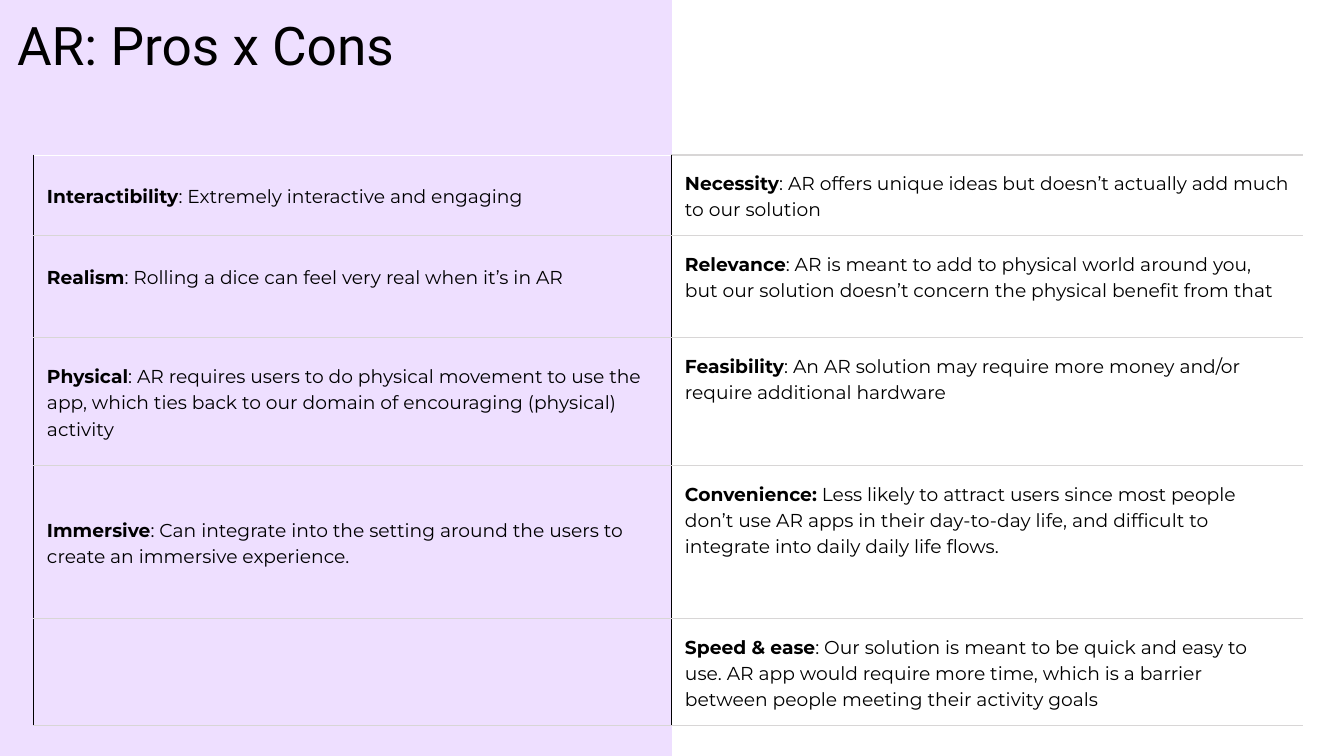
from lxml import etree
from pptx import Presentation
from pptx.dml.color import RGBColor
from pptx.enum.shapes import MSO_SHAPE
from pptx.enum.text import MSO_ANCHOR
from pptx.oxml.ns import qn
from pptx.util import Emu, Pt

RECTANGLE = MSO_SHAPE.RECTANGLE
TOP, MIDDLE = MSO_ANCHOR.TOP, MSO_ANCHOR.MIDDLE

LILAC = RGBColor(0xEE, 0xDF, 0xFF)
BLACK = RGBColor(0, 0, 0)
WHITE = RGBColor(0xFF, 0xFF, 0xFF)
GREY = RGBColor(0xD8, 0xD6, 0xD6)

EMU_PER_PX = 914400 / 67.2
SLIDE_W, SLIDE_H = 1344, 756
COLUMN_WIDTHS = (638, 632)
ROW_HEIGHTS = (79, 102, 128, 153, 106)
CELL_INSET = 14
REALISM_ROW = 1

PROS = (
    ("Interactibility", ": Extremely interactive and engaging"),
    ("Realism", ": Rolling a dice can feel very real when it’s in AR"),
    ("Physical", ": AR requires users to do physical movement to use the app, "
                 "which ties back to our domain of encouraging (physical) activity"),
    ("Immersive", ": Can integrate into the setting around the users to create "
                  "an immersive experience."),
    None,
)
CONS = (
    ("Necessity", ": AR offers unique ideas but doesn’t actually add much to our solution"),
    ("Relevance", ": AR is meant to add to physical world around you, but our "
                  "solution doesn’t concern the physical benefit from that"),
    ("Feasibility", ": An AR solution may require more money and/or require "
                    "additional hardware"),
    ("Convenience:", " Less likely to attract users since most people don’t use AR "
                     "apps in their day-to-day life, and difficult to integrate into "
                     "daily daily life flows."),
    ("Speed & ease", ": Our solution is meant to be quick and easy to use. AR app "
                     "would require more time, which is a barrier between people "
                     "meeting their activity goals"),
)


def px(length):
    return Emu(round(length * EMU_PER_PX))


def add_panel(slide, left, top, width, height):
    panel = slide.shapes.add_shape(RECTANGLE, px(left), px(top), px(width), px(height))
    panel.shadow.inherit = False
    panel.fill.solid()
    panel.fill.fore_color.rgb = LILAC
    panel.line.fill.background()


def add_title(slide, left, top, width, height):
    title = slide.shapes.add_textbox(px(left), px(top), px(width), px(height))
    frame = title.text_frame
    frame.word_wrap = True
    frame.margin_left = frame.margin_right = frame.margin_top = frame.margin_bottom = 0
    frame.text = "AR: Pros x Cons"
    heading = frame.paragraphs[0]
    heading.line_spacing = 1.1
    heading.font.name = "Roboto"
    heading.font.size = Pt(57)
    heading.font.color.rgb = BLACK


def set_borders(cell, borders):
    """Add the cell's edges, given in the order left, right, top, bottom."""
    properties = cell._tc.get_or_add_tcPr()
    for side, (color, points) in zip("LRTB", borders):
        edge = etree.SubElement(properties, qn(f"a:ln{side}"), w=str(Pt(points)))
        fill = etree.SubElement(edge, qn("a:solidFill"))
        etree.SubElement(fill, qn("a:srgbClr"), val=str(color))


def write_point(cell, point):
    paragraph = cell.text_frame.paragraphs[0]
    paragraph.line_spacing = 1.15
    for text, bold in zip(point, (True, False)):
        run = paragraph.add_run()
        run.text = text
        run.font.name = "Montserrat"
        run.font.size = Pt(20)
        run.font.bold = bold
        run.font.color.rgb = BLACK


def add_comparison(slide, left, top):
    frame = slide.shapes.add_table(
        len(ROW_HEIGHTS), len(COLUMN_WIDTHS), px(left), px(top),
        px(sum(COLUMN_WIDTHS)), px(sum(ROW_HEIGHTS)))
    table = frame.table
    table.first_row = table.horz_banding = False
    for column, width in zip(table.columns, COLUMN_WIDTHS):
        column.width = px(width)
    for row, height in zip(table.rows, ROW_HEIGHTS):
        row.height = px(height)

    thin_black, thin_white, rule = (BLACK, 0.75), (WHITE, 0.75), (GREY, 1.5)
    for column, points in enumerate((PROS, CONS)):
        for row, point in enumerate(points):
            cell = table.cell(row, column)
            is_pro = column == 0
            set_borders(cell, (
                thin_black,
                thin_black if is_pro else thin_white,
                thin_white if is_pro and row == 0 else rule,
                rule))
            cell.fill.background()
            cell.margin_left = cell.margin_right = px(CELL_INSET)
            cell.margin_top = cell.margin_bottom = px(CELL_INSET)
            cell.vertical_anchor = MIDDLE if is_pro else TOP
            if point:
                write_point(cell, point)
    # This point sits a little above the middle of its row
    table.cell(REALISM_ROW, 0).margin_bottom = px(CELL_INSET + 20)


def main():
    presentation = Presentation()
    presentation.slide_width, presentation.slide_height = px(SLIDE_W), px(SLIDE_H)
    slide = presentation.slides.add_slide(presentation.slide_layouts[6])
    add_panel(slide, 0, 0, SLIDE_W // 2, SLIDE_H)
    add_comparison(slide, 33, 155)
    add_title(slide, 17, 6, 1113, 65)
    presentation.save("out.pptx")


if __name__ == "__main__":
    main()
